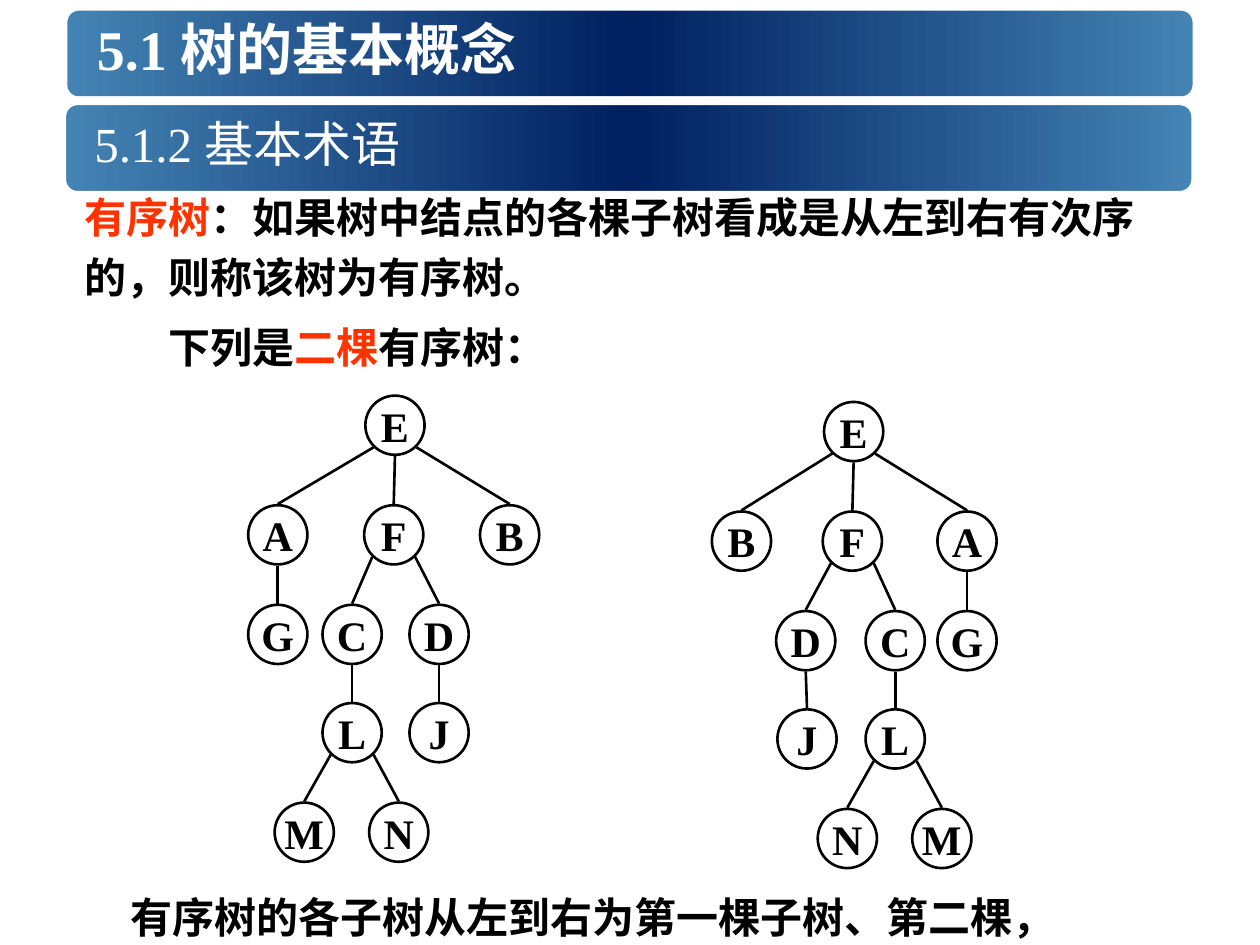
from copy import deepcopy

from pptx import Presentation
from pptx.dml.color import RGBColor
from pptx.enum import shapes, text
from pptx.oxml.ns import qn
from pptx.util import Inches, Pt

WHITE = RGBColor(0xFF, 0xFF, 0xFF)
BLACK = RGBColor(0, 0, 0)
RED = RGBColor(0xFF, 0x33, 0)
STEEL = RGBColor(0x44, 0x84, 0xB4)
NAVY = RGBColor(0, 0x20, 0x60)

SERIF, SANS, HAN = "Times New Roman", "Arial", "Noto Sans CJK SC"
SIZE = 0.47
ROWS = [3.14, 4.01, 4.8, 5.58, 6.37]
PARENT = dict(A="E", F="E", B="E", G="A", C="F", D="F", L="C", J="D", M="L", N="L")
FIRST = dict(E=2.9, A=1.97, F=2.89, B=3.81, G=1.97, C=2.56, D=3.25,
             L=2.56, J=3.25, M=2.18, N=2.93)
SECOND = dict(E=6.54, B=5.65, F=6.53, A=7.44, G=7.44, C=6.87, D=6.16,
              L=6.87, J=6.17, N=6.49, M=7.24)


def style(para, size, face, bold=True, color=None):
    """Set the font of a whole paragraph."""
    font = para.font
    font.size, font.name, font.bold = Pt(size), face, bold
    if color is not None:
        font.color.rgb = color


def add_bar(slide, left, top):
    """Add a rounded heading bar with a three-stop gradient."""
    bar = slide.shapes.add_shape(shapes.MSO_SHAPE.ROUNDED_RECTANGLE,
                                 Inches(left), Inches(top), Inches(9), Inches(0.75))
    bar.shadow.inherit = False
    bar.fill.gradient()
    bar.fill.gradient_angle = 0
    stops = bar._element.spPr.find(".//" + qn("a:gsLst"))
    stops.append(deepcopy(stops[0]))
    for stop, place, color in zip(bar.fill.gradient_stops, (0, 0.5, 1), (STEEL, NAVY, STEEL)):
        stop.position = place
        stop.color.rgb = color
    bar.line.color.rgb = WHITE
    bar.line.width = Pt(5)


def add_text(slide, box, parts, size, face, bold=True, mid=False, space=None):
    """Add a text box from pairs of wording and colour."""
    frame = slide.shapes.add_textbox(*map(Inches, box)).text_frame
    frame.word_wrap = True
    if mid:
        frame.vertical_anchor = text.MSO_ANCHOR.MIDDLE
    para = frame.paragraphs[0]
    style(para, size, face, bold)
    if space:
        para.line_spacing = space
    for words, color in parts:
        run = para.add_run()
        run.text = words
        run.font.color.rgb = color


def add_node(slide, name, left, top):
    """Add a lettered tree node."""
    node = slide.shapes.add_shape(shapes.MSO_SHAPE.OVAL, Inches(left), Inches(top),
                                  Inches(SIZE), Inches(SIZE))
    node.shadow.inherit = False
    node.fill.background()
    node.line.color.rgb = BLACK
    node.line.width = Pt(1.5)
    frame = node.text_frame
    frame.word_wrap = False
    frame.vertical_anchor = text.MSO_ANCHOR.MIDDLE
    para = frame.paragraphs[0]
    para.text = name
    para.alignment = text.PP_ALIGN.CENTER
    style(para, 24, SERIF, color=BLACK)


def add_edge(slide, upper, lower):
    """Join a parent to its child, straight down or from its lower side."""
    (left, top), (goal, foot) = upper, lower
    shift = goal - left
    side, drop = (0, 0.48) if abs(shift) < 0.05 else (0.17 if shift > 0 else -0.17, 0.41)
    half = SIZE / 2
    edge = slide.shapes.add_connector(
        shapes.MSO_CONNECTOR.STRAIGHT, Inches(left + half + side), Inches(top + drop),
        Inches(goal + half), Inches(foot - 0.01))
    edge.line.color.rgb = BLACK
    edge.line.width = Pt(1.5)
    edge._element.spPr.append(edge._element.spPr.makeelement(qn("a:effectLst"), {}))


def depth(name):
    """Count the levels above a node."""
    return 1 + depth(PARENT[name]) if name in PARENT else 0


def add_tree(slide, lefts, drop=0):
    """Add the nodes and edges of one tree."""
    spots = {name: (left, ROWS[depth(name)] + drop) for name, left in lefts.items()}
    for name, spot in spots.items():
        add_node(slide, name, *spot)
    for child, parent in PARENT.items():
        add_edge(slide, spots[parent], spots[child])


def main():
    """Build and save the slide."""
    deck = Presentation()
    deck.slide_width, deck.slide_height = Inches(10), Inches(7.5)
    slide = deck.slides.add_slide(deck.slide_layouts[6])
    add_bar(slide, 0.5, 0.05)
    add_text(slide, (0.67, 0.05, 8.75, 0.67), [("5.1 树的基本概念", WHITE)], 32, SERIF, mid=True)
    add_bar(slide, 0.49, 0.8)
    add_text(slide, (0.65, 0.8, 8.75, 0.67), [("5.1.2 基本术语", WHITE)], 28, SERIF,
             bold=False, mid=True)
    add_text(slide, (0.57, 1.39, 8.66, 1.06),
             [("有序树", RED),
              ("：如果树中结点的各棵子树看成是从左到右有次序的，则称该树为有序树。", BLACK)],
             24, SANS, space=1.2)
    add_text(slide, (0.94, 7.03, 7.73, 0.5),
             [("有序树的各子树从左到右为第一棵子树、第二棵，…", BLACK)], 24, SANS)
    add_text(slide, (1.24, 2.5, 3.92, 0.5),
             [("下列是", BLACK), ("二棵", RED), ("有序树：", BLACK)], 24, HAN)
    add_tree(slide, FIRST)
    add_tree(slide, SECOND, 0.05)
    deck.save("out.pptx")


if __name__ == "__main__":
    main()
